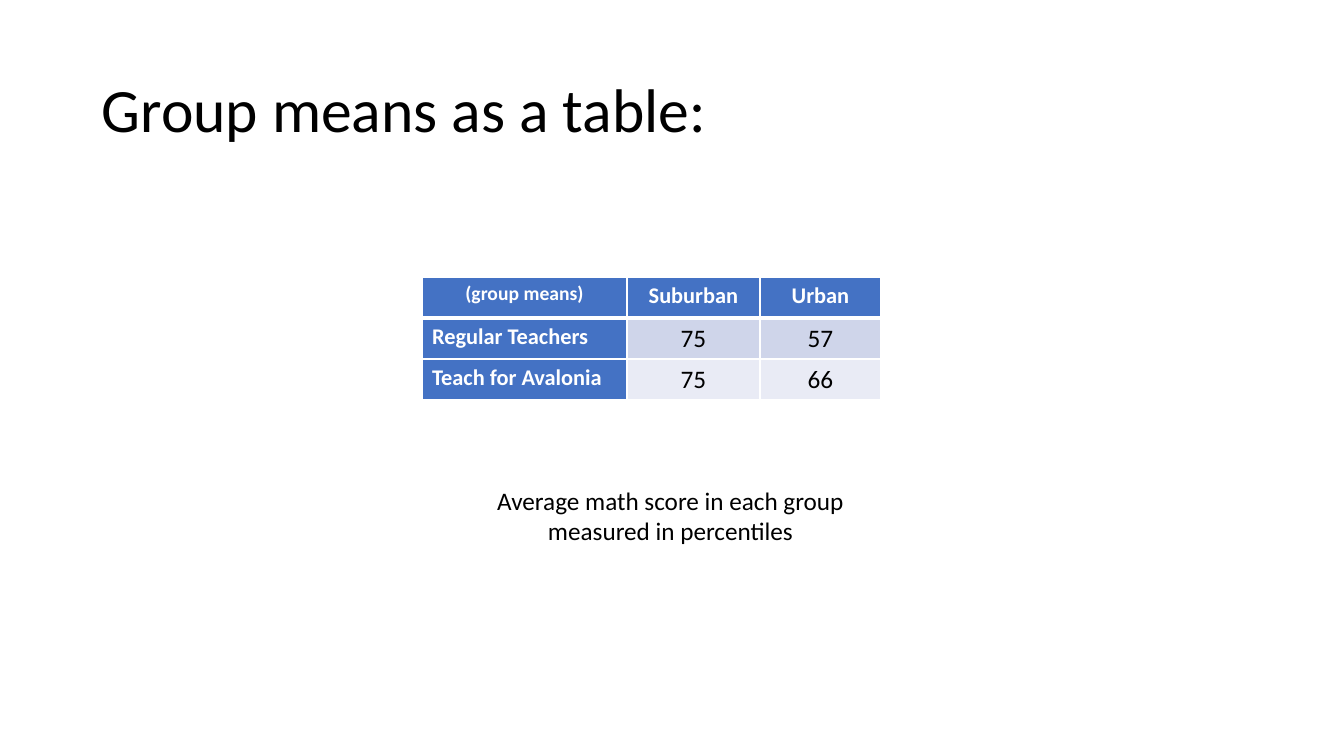
"""Build a slide that shows group means of math scores as a table."""
import pptx
import pptx.util
import pptx.dml.color
import pptx.enum.text
import pptx.oxml
import pptx.oxml.ns
from lxml import etree

ALIGN = pptx.enum.text.PP_ALIGN
ANCHOR = pptx.enum.text.MSO_ANCHOR
WHITE, BLACK, BLUE = "FFFFFF", "000000", "4472C4"
BANDS = ["CFD5EA", "E9EBF5"]


def color(code):
    return pptx.dml.color.RGBColor.from_string(code)


def px(count):
    return pptx.util.Emu(round(count * 914400 / 100.8))


class Slide:
    def __init__(self, deck, font):
        self.page = deck.slides.add_slide(deck.slide_layouts[6])
        self.font = font

    def label(self, frame, text, size, ink, bold=False, align=ALIGN.CENTER):
        para = frame.paragraphs[0]
        para.alignment = align
        run = para.add_run()
        run.text = text
        run.font.name = self.font
        run.font.size = pptx.util.Pt(size)
        run.font.bold = bold
        run.font.color.rgb = color(ink)
        return para

    def text(self, box, text, size, align=ALIGN.CENTER, anchor=ANCHOR.TOP, space=1.0):
        frame = self.page.shapes.add_textbox(*map(px, box)).text_frame
        frame.word_wrap = True
        frame.vertical_anchor = anchor
        self.label(frame, text, size, BLACK, align=align).line_spacing = space

    def border(self, cell, sides):
        props = cell._tc.get_or_add_tcPr()
        for spot, (side, width) in enumerate(sides.items()):
            line = etree.Element(pptx.oxml.ns.qn(f"a:ln{side}"), w=str(pptx.util.Pt(width)))
            fill = etree.SubElement(line, pptx.oxml.ns.qn("a:solidFill"))
            etree.SubElement(fill, pptx.oxml.ns.qn("a:srgbClr"), val=WHITE)
            props.insert(spot, line)

    def table(self, left, top, widths, height, rows):
        size = (sum(widths), height * len(rows))
        grid = self.page.shapes.add_table(
            len(rows), len(widths), *map(px, (left, top, *size))).table
        for col, width in zip(grid.columns, widths):
            col.width = px(width)
        for r, row in enumerate(rows):
            grid.rows[r].height = px(height)
            for c, text in enumerate(row):
                cell = grid.cell(r, c)
                head = r == 0 or c == 0
                cell.fill.solid()
                cell.fill.fore_color.rgb = color(BLUE if head else BANDS[(r - 1) % 2])
                points = 14 if r == c == 0 else 16 if head else 18
                align = ALIGN.LEFT if r and c == 0 else ALIGN.CENTER
                self.label(cell.text_frame, text, points, WHITE if head else BLACK, head, align)
                self.border(cell, {"L": 1, "R": 1, "T": 3 if r == 1 else 1, "B": 3 if r == 0 else 1})


deck = pptx.Presentation()
deck.slide_width, deck.slide_height = px(1344), px(756)
slide = Slide(deck, "Calibri")
slide.table(422, 277, [205, 133, 121], 41, [
    ["(group means)", "Suburban", "Urban"],
    ["Regular Teachers", "75", "57"],
    ["Teach for Avalonia", "75", "66"],
])
slide.text((92, 40, 1159, 146), "Group means as a table:", 44, ALIGN.LEFT, ANCHOR.MIDDLE, 0.9)
slide.text((459, 480, 423, 72), "Average math score in each group measured in percentiles", 18)
deck.save("out.pptx")
